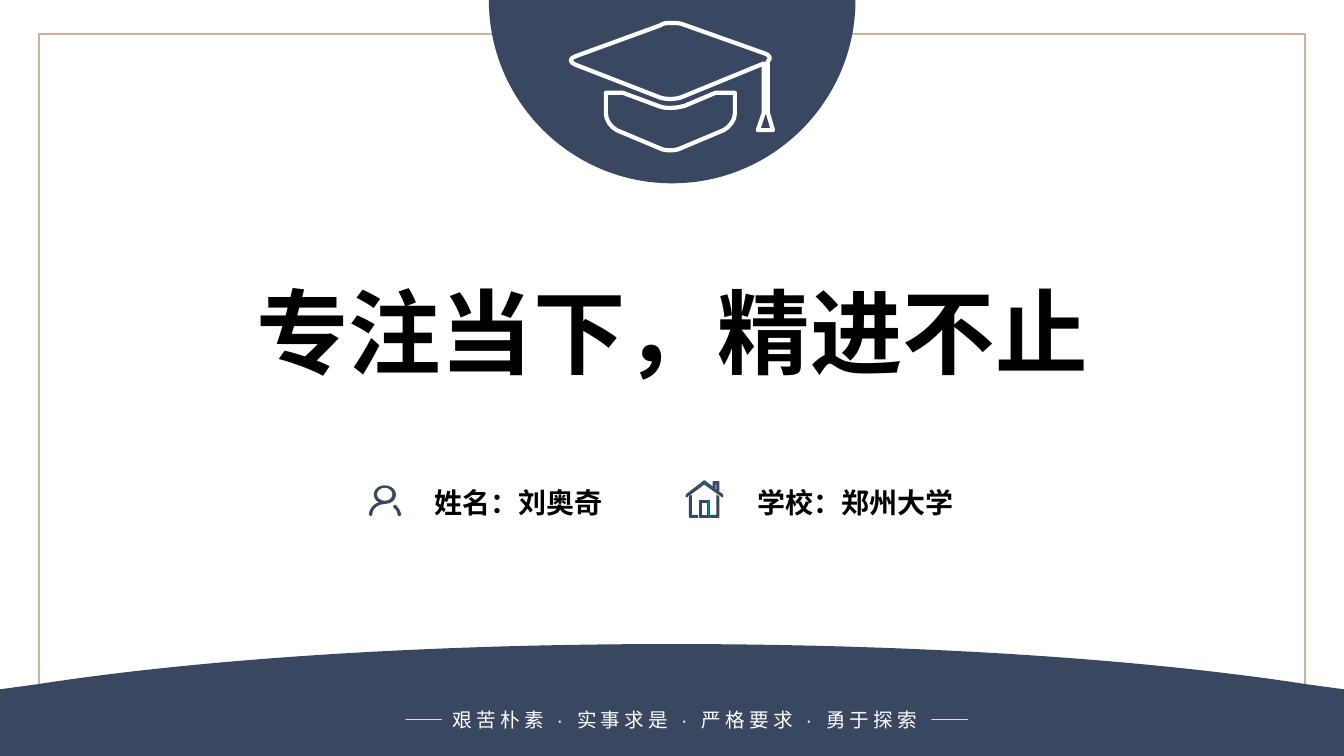
"""Build the cover slide of a graduation-themed deck."""
from dataclasses import dataclass
from typing import Any, Optional

from lxml.etree import SubElement
from pptx import Presentation
from pptx.dml.color import RGBColor
from pptx.enum.shapes import MSO_SHAPE
from pptx.enum.text import MSO_ANCHOR, MSO_AUTO_SIZE, PP_ALIGN
from pptx.oxml.ns import qn
from pptx.util import Cm, Pt

COLORS = {"navy": "394761", "tan": "D0B296", "green": "039380", "white": "FFFFFF", "black": "000000"}
CJK = "Noto Sans CJK SC"
WIDTH, HEIGHT = 33.87, 19.05

Box = tuple[float, float, float, float]
Contour = list[tuple[float, ...]]


@dataclass(frozen=True)
class Outline:
    """Closed contours in cm; a pair is a line, six numbers are a cubic curve."""
    contours: list[Contour]
    fill: str
    line: Optional[str] = None
    weight: float = 1


@dataclass(frozen=True)
class Detail:
    """A caption with its icon."""
    text: str
    box: Box
    icon: Outline


DOME = Outline([[
    (12.32, 0), (21.56, 0), (21.56, 2.54, 19.49, 4.62, 16.94, 4.62),
    (14.38, 4.62, 12.32, 2.54, 12.32, 0),
]], "navy")

CAP = Outline([
    [(15.27, 2.34), (15.7, 2.34), (16.59, 2.67), (16.71, 2.72, 16.81, 2.72, 16.92, 2.72),
     (17.04, 2.72, 17.15, 2.69, 17.25, 2.67), (18.03, 2.34), (18.52, 2.34), (18.52, 2.87),
     (18.52, 3.02, 18.39, 3.2, 18.24, 3.28), (17.17, 3.73),
     (17.02, 3.81, 16.76, 3.81, 16.61, 3.73), (15.54, 3.28),
     (15.39, 3.2, 15.27, 3.02, 15.27, 2.87)],
    [(16.92, 0.58), (17.02, 0.58, 17.12, 0.58, 17.2, 0.61), (19.28, 1.35),
     (19.41, 1.4, 19.43, 1.47, 19.35, 1.55), (19.35, 1.55), (19.35, 2.84), (19.48, 3.28), (19.1, 3.28),
     (19.25, 2.84), (19.25, 1.6), (17.2, 2.44), (17.04, 2.51, 16.79, 2.51, 16.64, 2.46),
     (14.5, 1.63), (14.35, 1.57, 14.35, 1.47, 14.5, 1.42), (16.64, 0.64),
     (16.71, 0.58, 16.81, 0.58, 16.92, 0.58)],
], "navy", "white", 3)

PERSON = Outline([
    [(9.78, 12.24), (9.65, 12.21, 9.53, 12.25, 9.46, 12.34), (9.39, 12.44, 9.42, 12.55, 9.49, 12.62),
     (9.51, 12.63, 9.53, 12.65, 9.55, 12.66), (9.53, 12.67, 9.51, 12.67, 9.49, 12.68),
     (9.4, 12.73, 9.34, 12.8, 9.31, 12.88), (9.3, 12.91, 9.3, 12.94, 9.3, 12.97),
     (9.3, 12.99, 9.32, 13.01, 9.34, 13.01), (9.36, 13.01, 9.38, 13, 9.38, 12.98),
     (9.38, 12.96, 9.39, 12.94, 9.39, 12.92), (9.4, 12.8, 9.54, 12.7, 9.7, 12.7),
     (9.86, 12.7, 9.98, 12.6, 9.98, 12.47), (9.98, 12.35, 9.89, 12.27, 9.78, 12.24)],
    [(9.7, 12.62), (9.59, 12.62, 9.5, 12.55, 9.5, 12.46), (9.5, 12.37, 9.59, 12.29, 9.7, 12.29),
     (9.81, 12.29, 9.89, 12.37, 9.89, 12.46), (9.89, 12.55, 9.81, 12.62, 9.7, 12.62)],
    [(10.11, 12.95), (10.09, 12.87, 10.05, 12.8, 9.99, 12.74), (9.98, 12.73, 9.97, 12.72, 9.97, 12.72),
     (9.95, 12.71, 9.93, 12.71, 9.92, 12.73), (9.9, 12.74, 9.9, 12.76, 9.91, 12.78),
     (9.92, 12.78, 9.93, 12.79, 9.93, 12.8), (9.97, 12.83, 10, 12.87, 10.01, 12.91),
     (10.02, 12.93, 10.02, 12.95, 10.02, 12.98), (10.02, 13, 10.04, 13.01, 10.06, 13.01),
     (10.08, 13.01, 10.1, 13, 10.11, 12.98), (10.11, 12.97, 10.11, 12.96, 10.11, 12.95)],
], "navy")

HOUSE = Outline([
    [(17.3, 12.47), (17.3, 12.52), (17.75, 12.19), (18.21, 12.52), (18.21, 12.47), (17.75, 12.12)],
    [(18.11, 12.37), (18.11, 12.14), (17.98, 12.14), (17.98, 12.27), (18.02, 12.29),
     (18.02, 12.18), (18.07, 12.18), (18.07, 12.33)],
    [(17.91, 12.99), (17.91, 13.03), (18.11, 13.03), (18.11, 12.52), (18.07, 12.49), (18.07, 12.99)],
    [(17.63, 13.03), (17.88, 13.03), (17.88, 12.62), (17.63, 12.62)],
    [(17.67, 12.65), (17.83, 12.65), (17.83, 12.99), (17.67, 12.99)],
    [(17.38, 12.52), (17.38, 13.03), (17.58, 13.03), (17.58, 12.99), (17.42, 12.99), (17.42, 12.49)],
], "green", "navy", 1)

WAVE = Outline([[
    (16.93, 16.23), (23.2, 16.23, 28.87, 16.61, 32.98, 17.25), (WIDTH, 17.37), (WIDTH, HEIGHT),
    (0, HEIGHT), (0, 17.37), (0.89, 17.25), (5, 16.61, 10.67, 16.23, 16.93, 16.23),
]], "navy")

DETAILS = [
    Detail("姓名：刘奥奇", (10.69, 12.1, 5.08, 1.12), PERSON),
    Detail("学校：郑州大学", (18.84, 12.1, 7.37, 1.12), HOUSE),
]

MOTTO = [("——", 0), (" 艰苦朴素 · 实事求是 · 严格要求 · 勇于探索 ", 3), ("——", -1.5)]


def rgb(name: str) -> RGBColor:
    """Look up a palette colour."""
    return RGBColor.from_string(COLORS[name])


def style(sp: Any, fill: Optional[str], line: Optional[str], weight: float) -> None:
    """Set fill and line, and drop the shadow."""
    sp.shadow.inherit = False
    if fill:
        sp.fill.solid()
        sp.fill.fore_color.rgb = rgb(fill)
    else:
        sp.fill.background()
    if line:
        sp.line.color.rgb = rgb(line)
        sp.line.width = Pt(weight)
    else:
        sp.line.fill.background()


def bend(sp: Any, outline: Outline) -> None:
    """Merge the three line steps of each cubic segment into one curve."""
    steps = iter(list(sp._element.iter(qn("a:lnTo"))))
    for contour in outline.contours:
        for seg in contour[1:]:
            step = next(steps)
            if len(seg) == 6:
                step.tag = qn("a:cubicBezTo")
                for _ in range(2):
                    extra = next(steps)
                    step.append(extra[0])
                    extra.getparent().remove(extra)


def draw_outline(shapes: Any, outline: Outline) -> None:
    """Draw an outline as one freeform."""
    contours = [[(Cm(seg[i]), Cm(seg[i + 1])) for seg in c for i in range(0, len(seg), 2)]
                for c in outline.contours]
    fb = shapes.build_freeform(*contours[0][0], scale=1.0)
    for n, pts in enumerate(contours):
        if n:
            fb.move_to(*pts[0])
        fb.add_line_segments(pts[1:], close=True)
    sp = fb.convert_to_shape()
    bend(sp, outline)
    style(sp, outline.fill, outline.line, outline.weight)


def write(sp: Any, runs: list[tuple[str, float]], *, box: Box, size: float, font: str = CJK,
          color: str = "black", bold: bool = False, align: PP_ALIGN = PP_ALIGN.LEFT,
          wrap: bool = True) -> None:
    """Place a text shape and fill it with runs of text and letter spacing."""
    sp.left, sp.top, sp.width, sp.height = map(Cm, box)
    tf = sp.text_frame
    tf.word_wrap = wrap
    tf.auto_size = MSO_AUTO_SIZE.SHAPE_TO_FIT_TEXT
    tf.vertical_anchor = MSO_ANCHOR.MIDDLE
    p = tf.paragraphs[0]
    p.alignment = align
    for text, spacing in runs:
        r = p.add_run()
        r.text = text
        r.font.size, r.font.bold, r.font.name = Pt(size), bold, font
        r.font.color.rgb = rgb(color)
        rpr = r._r.get_or_add_rPr()
        SubElement(rpr, qn("a:ea")).set("typeface", CJK)
        if spacing:
            rpr.set("spc", str(int(spacing * 100)))


def draw_detail(shapes: Any, detail: Detail) -> None:
    """Draw a caption and its icon as a group."""
    group = shapes.add_group_shape().shapes
    sp = group.add_textbox(*map(Cm, detail.box))
    write(sp, [(detail.text, 0)], box=detail.box, size=20, bold=True)
    draw_outline(group, detail.icon)


def main() -> None:
    """Build and save the slide."""
    prs = Presentation()
    prs.slide_width, prs.slide_height = Cm(WIDTH), Cm(HEIGHT)
    s = prs.slides.add_slide(prs.slide_layouts[5])
    write(s.shapes.title, [("专注当下，精进不止", 0)], box=(6.15, 6.79, 21.56, 3.07), size=66,
          bold=True, align=PP_ALIGN.CENTER, wrap=False)
    frame = s.shapes.add_shape(MSO_SHAPE.RECTANGLE, Cm(0.98), Cm(0.86), Cm(31.92), Cm(17.5))
    style(frame, None, "tan", 1.5)
    for detail in DETAILS:
        draw_detail(s.shapes, detail)
    emblem = s.shapes.add_group_shape().shapes
    for outline in (DOME, CAP):
        draw_outline(emblem, outline)
    draw_outline(s.shapes, WAVE)
    box = (7.04, 17.7, 20.5, 0.86)
    write(s.shapes.add_textbox(*map(Cm, box)), MOTTO, box=box, size=14, font="Arial",
          color="white", align=PP_ALIGN.CENTER)
    prs.save("out.pptx")


if __name__ == "__main__":
    main()
